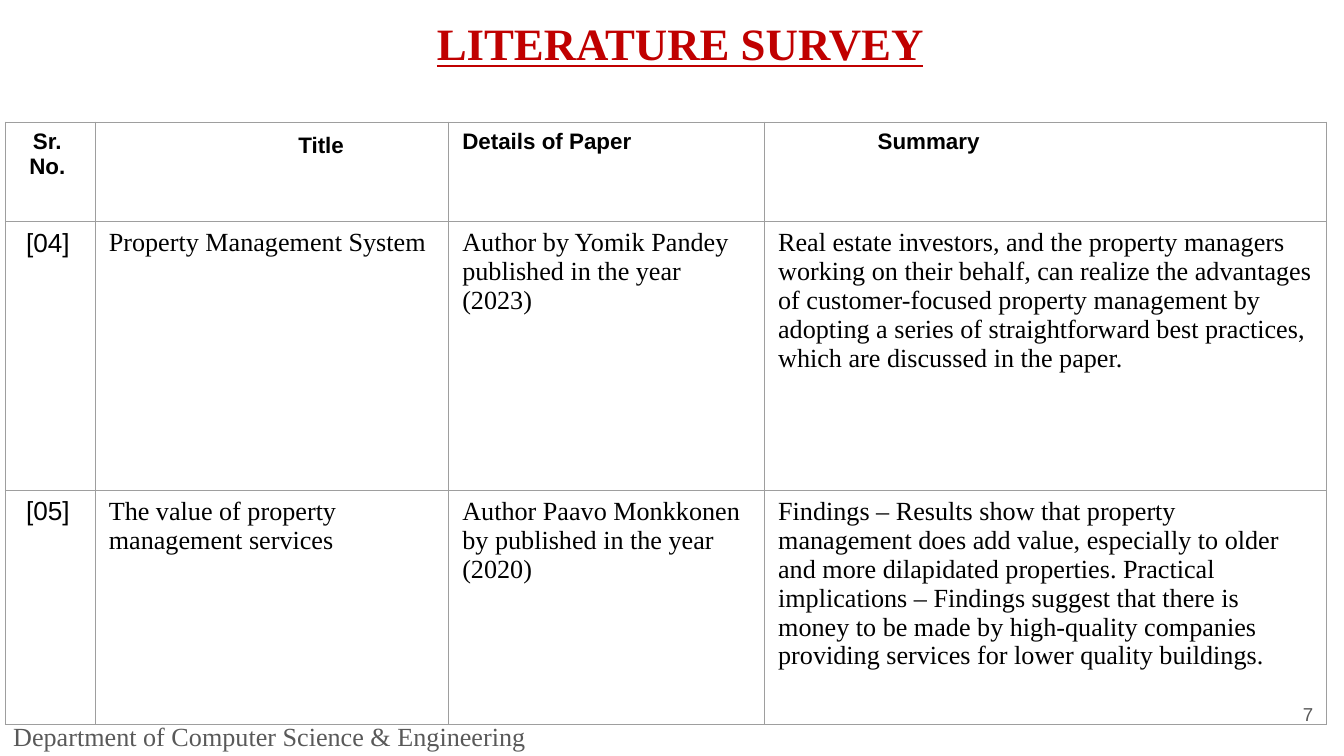
from dataclasses import dataclass

from lxml import etree
from pptx import Presentation
from pptx.dml.color import RGBColor
from pptx.enum import text
from pptx.oxml import ns
from pptx.util import Emu, Inches, Pt


@dataclass(frozen=True)
class Theme:
    sans: str = "Arial"
    serif: str = "Times New Roman"
    title: str = "C00000"
    ink: str = "000000"
    muted: str = "595959"
    border: str = "9E9E9E"
    title_pt: int = 24
    body_pt: int = 14
    header_pt: int = 12
    number_pt: int = 10
    border_pt: float = 0.75


THEME = Theme()


@dataclass(frozen=True)
class Style:
    font: str
    size: int
    color: str = THEME.ink
    bold: bool = False
    underline: bool = False
    align: text.PP_ALIGN = text.PP_ALIGN.LEFT


@dataclass(frozen=True)
class CellText:
    lines: tuple[str, ...]
    style: Style
    indent: float = 0
    top: float = 0.05


@dataclass(frozen=True)
class Box:
    left: float
    top: float
    width: float
    height: float

    def lengths(self) -> tuple[Emu, ...]:
        return tuple(Inches(v) for v in (self.left, self.top, self.width, self.height))


@dataclass(frozen=True)
class Paper:
    number: str
    title: str
    details: tuple[str, ...]
    summary: str


TITLE = Style(THEME.serif, THEME.title_pt, THEME.title, bold=True, underline=True)
HEADER = Style(THEME.sans, THEME.header_pt, bold=True)
HEADER_CENTER = Style(THEME.sans, THEME.header_pt, bold=True, align=text.PP_ALIGN.CENTER)
REFERENCE = Style(THEME.sans, THEME.body_pt)
BODY = Style(THEME.serif, THEME.body_pt)
FOOTER = Style(THEME.serif, THEME.body_pt, THEME.muted)
NUMBER = Style(THEME.sans, THEME.number_pt, THEME.muted, align=text.PP_ALIGN.RIGHT)

COLUMNS = (0.67, 2.63, 2.35, 4.18)
ROWS = (0.74, 2.0, 1.74)
TABLE_BOX = Box(0.04, 0.91, sum(COLUMNS), sum(ROWS))

HEADERS = (
    CellText(("Sr. ", "No. "), HEADER_CENTER),
    CellText(("Title",), HEADER, indent=1.41, top=0.08),
    CellText(("Details of Paper",), HEADER),
    CellText(("Summary",), HEADER, indent=0.74),
)
PAPERS = (
    Paper(
        " [04]",
        "Property Management System",
        ("Author by Yomik Pandey published in the year", "(2023)"),
        "Real estate investors, and the property managers working on their behalf, "
        "can realize the advantages of customer-focused property management by "
        "adopting a series of straightforward best practices, which are discussed "
        "in the paper.",
    ),
    Paper(
        " [05]",
        "The value of property management services",
        ("Author Paavo Monkkonen", "by published in the year", "(2020)"),
        "Findings – Results show that property management does add value, especially "
        "to older and more dilapidated properties. Practical implications – Findings "
        "suggest that there is money to be made by high-quality companies providing "
        "services for lower quality buildings.",
    ),
)


def write(tf, lines: tuple[str, ...], style: Style, indent: float = 0) -> None:
    for i, line in enumerate(lines):
        p = tf.paragraphs[0] if i == 0 else tf.add_paragraph()
        p.alignment = style.align
        if indent:
            p._p.get_or_add_pPr().set("marL", str(Inches(indent)))
        r = p.add_run()
        r.text = line
        r.font.name = style.font
        r.font.size = Pt(style.size)
        r.font.bold = style.bold
        r.font.underline = style.underline
        r.font.color.rgb = RGBColor.from_string(style.color)


def place(sp, box: Box, line: str, style: Style, anchor: text.MSO_ANCHOR) -> None:
    sp.left, sp.top, sp.width, sp.height = box.lengths()
    tf = sp.text_frame
    tf.word_wrap = True
    tf.auto_size = text.MSO_AUTO_SIZE.NONE
    tf.vertical_anchor = anchor
    write(tf, (line,), style)


def add_label(s, box: Box, line: str, style: Style,
              anchor: text.MSO_ANCHOR = text.MSO_ANCHOR.TOP) -> None:
    place(s.shapes.add_textbox(*box.lengths()), box, line, style, anchor)


def add_borders(cell) -> None:
    tc_pr = cell._tc.get_or_add_tcPr()
    for i, side in enumerate(("lnL", "lnR", "lnT", "lnB")):
        ln = etree.Element(ns.qn(f"a:{side}"), w=str(Pt(THEME.border_pt)))
        fill = etree.SubElement(ln, ns.qn("a:solidFill"))
        etree.SubElement(fill, ns.qn("a:srgbClr"), val=THEME.border)
        tc_pr.insert(i, ln)


def paper_cells(paper: Paper) -> tuple[CellText, ...]:
    return (
        CellText((paper.number,), REFERENCE),
        CellText((paper.title,), BODY),
        CellText(paper.details, BODY),
        CellText((paper.summary,), BODY),
    )


def add_survey_table(s) -> None:
    rows = (HEADERS, *map(paper_cells, PAPERS))
    table = s.shapes.add_table(len(rows), len(COLUMNS), *TABLE_BOX.lengths()).table
    table.first_row = False
    table.horz_banding = False
    for column, width in zip(table.columns, COLUMNS):
        column.width = Inches(width)
    for row, height, contents in zip(table.rows, ROWS, rows):
        row.height = Inches(height)
        for cell, content in zip(row.cells, contents):
            cell.fill.background()
            cell.margin_top = Inches(content.top)
            add_borders(cell)
            write(cell.text_frame, content.lines, content.style, content.indent)


def main() -> None:
    prs = Presentation()
    prs.slide_width = Inches(10)
    prs.slide_height = prs.slide_width * 9 // 16
    s = prs.slides.add_slide(prs.slide_layouts[5])
    place(s.shapes.title, Box(3.15, 0.07, 5, 0.5), "LITERATURE SURVEY", TITLE,
          text.MSO_ANCHOR.TOP)
    add_survey_table(s)
    add_label(s, Box(9.27, 5.1, 0.6, 0.43), "7", NUMBER, text.MSO_ANCHOR.MIDDLE)
    add_label(s, Box(0, 5.31, 5, 0.34), "Department of Computer Science & Engineering",
              FOOTER)
    prs.save("out.pptx")


if __name__ == "__main__":
    main()
